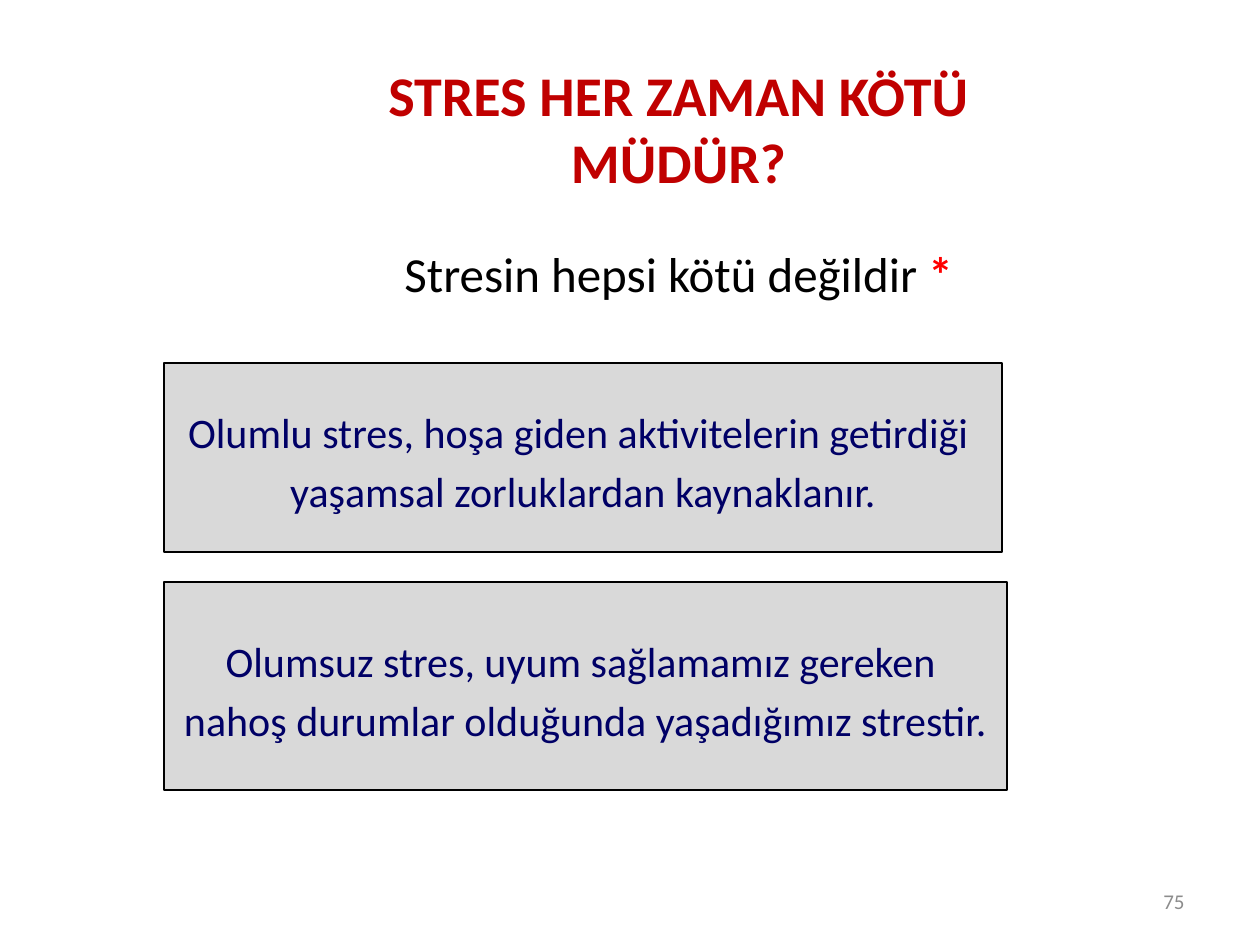
import pptx
import pptx.dml.color
import pptx.enum.shapes
import pptx.enum.text
import pptx.util

SCALE = 914400 / 126
FONT = "Calibri"
ALIGN = pptx.enum.text.PP_ALIGN
ANCHOR = pptx.enum.text.MSO_ANCHOR
AUTO_SIZE = pptx.enum.text.MSO_AUTO_SIZE


def px(length):
    return pptx.util.Emu(round(length * SCALE))


def colour(code):
    return pptx.dml.color.RGBColor.from_string(code)


def apply_format(target, values):
    for name, value in values.items():
        setattr(target, name, value)


def place(shape, box):
    names = ("left", "top", "width", "height")
    apply_format(shape, dict(zip(names, map(px, box))))


def add_span(para, text, size, code, bold=False):
    span = para.add_run()
    span.text = text
    apply_format(span.font, {"name": FONT, "size": pptx.util.Pt(size), "bold": bold})
    span.font.color.rgb = colour(code)


def add_title(page, box, text):
    title = page.shapes.title
    place(title, box)
    apply_format(title.text_frame, {
        "word_wrap": True,
        "auto_size": AUTO_SIZE.NONE,
        "vertical_anchor": ANCHOR.MIDDLE,
    })
    para = title.text_frame.paragraphs[0]
    para.alignment = ALIGN.CENTER
    add_span(para, text, 32, "C00000", True)


def add_text(page, box, spans, align, anchor):
    label = page.shapes.add_textbox(*map(px, box))
    apply_format(label.text_frame, {"word_wrap": True, "vertical_anchor": anchor})
    para = label.text_frame.paragraphs[0]
    para.alignment = align
    for span in spans:
        add_span(para, *span)


def add_panel(page, box, lines):
    panel = page.shapes.add_shape(
        pptx.enum.shapes.MSO_SHAPE.RECTANGLE, *map(px, box)
    )
    panel.shadow.inherit = False
    panel.fill.solid()
    panel.fill.fore_color.rgb = colour("D9D9D9")
    panel.line.color.rgb = colour("000000")
    panel.line.width = pptx.util.Pt(0.75)
    frame = panel.text_frame
    apply_format(frame, {
        "word_wrap": False,
        "vertical_anchor": ANCHOR.MIDDLE,
        "margin_top": px(14),
    })
    for index, line in enumerate(lines):
        para = frame.add_paragraph() if index else frame.paragraphs[0]
        para.alignment = ALIGN.CENTER
        para.space_before = pptx.util.Pt(4.8 if index else 0)
        add_span(para, line, 24, "000066")


def main():
    deck = pptx.Presentation()
    deck.slide_width, deck.slide_height = px(1260), px(945)
    page = deck.slides.add_slide(deck.slide_layouts.get_by_name("Title Only"))

    add_title(page, (302, 96, 753, 63), "STRES HER ZAMAN KÖTÜ MÜDÜR?")
    add_text(
        page,
        (392, 237, 635, 72),
        [("Stresin hepsi kötü değildir ", 28, "000000"), ("*", 28, "FF0000", True)],
        ALIGN.LEFT,
        ANCHOR.TOP,
    )
    add_panel(page, (164, 363, 838, 189), [
        "Olumlu stres, hoşa giden aktivitelerin getirdiği ",
        "yaşamsal zorluklardan kaynaklanır.",
    ])
    add_panel(page, (164, 582, 843, 208), [
        "Olumsuz stres, uyum sağlamamız gereken ",
        "nahoş durumlar olduğunda yaşadığımız strestir.",
    ])
    add_text(
        page, (903, 876, 294, 50), [("75", 12, "8C8C8C")], ALIGN.RIGHT, ANCHOR.MIDDLE
    )
    deck.save("out.pptx")


if __name__ == "__main__":
    main()
